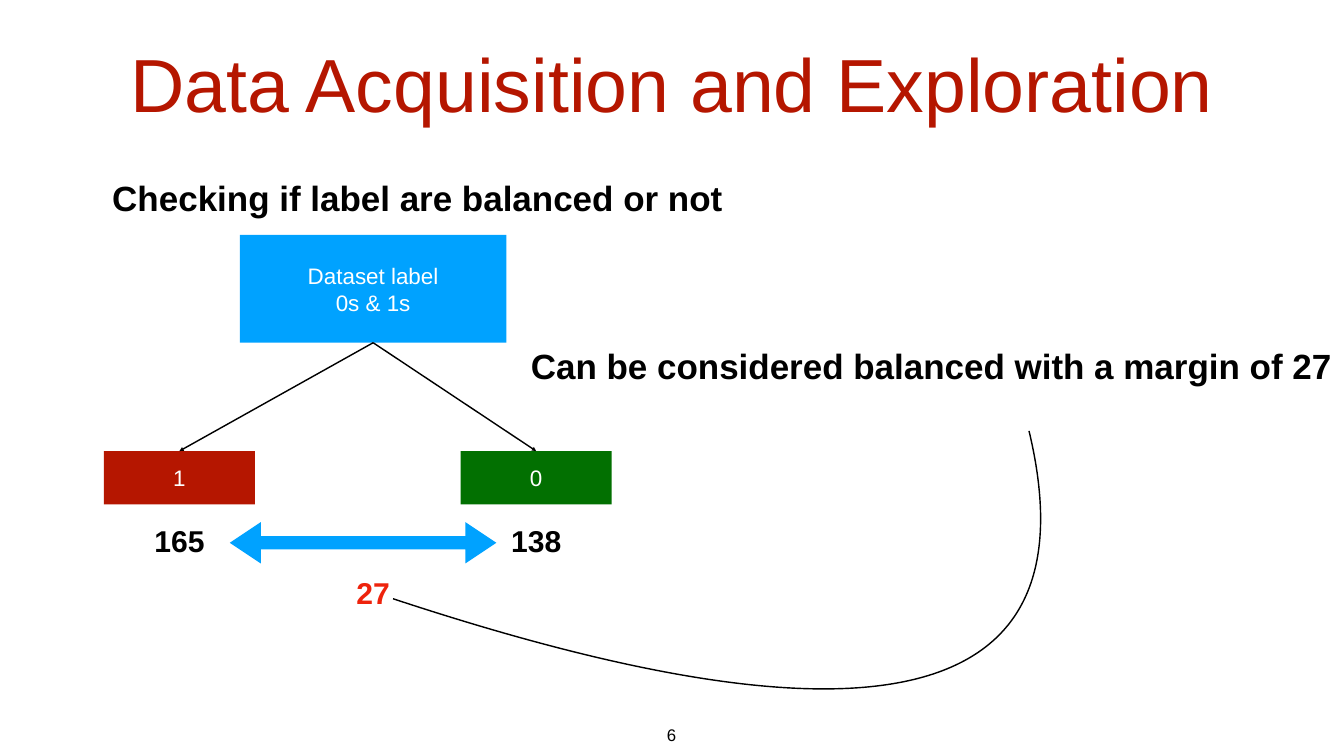
from dataclasses import dataclass

from lxml.etree import SubElement
from pptx import Presentation
from pptx.dml.color import RGBColor
from pptx.enum.shapes import MSO_CONNECTOR, MSO_SHAPE
from pptx.enum.text import MSO_ANCHOR, PP_ALIGN
from pptx.oxml.ns import qn
from pptx.util import Inches, Pt


@dataclass(frozen=True)
class Theme:
    font: str = "Arial"
    black: str = "000000"
    white: str = "FFFFFF"
    blue: str = "00A2FF"
    red: str = "B51600"
    green: str = "027001"
    accent: str = "EE230C"
    title: float = 107.5
    heading: float = 50
    count: float = 43
    label: float = 32
    number: float = 24
    line: float = 2


THEME = Theme()


def rgb(value):
    return RGBColor.from_string(value)


def write(sp, text, size, color, bold=False, inset=0.06, wrap=False, anchor=MSO_ANCHOR.MIDDLE):
    tf = sp.text_frame
    tf.text = text
    tf.word_wrap = wrap
    tf.vertical_anchor = anchor
    tf.margin_left = tf.margin_right = tf.margin_top = tf.margin_bottom = Inches(inset)
    for p in tf.paragraphs:
        p.alignment = PP_ALIGN.CENTER
        for r in p.runs:
            r.font.name = THEME.font
            r.font.size = Pt(size)
            r.font.bold = bold
            r.font.color.rgb = rgb(color)


def add_text(s, box, text, size, color=THEME.black, **style):
    write(s.shapes.add_textbox(*map(Inches, box)), text, size, color, **style)


def add_filled(s, preset, box, fill):
    sp = s.shapes.add_shape(preset, *map(Inches, box))
    sp.shadow.inherit = False
    sp.fill.solid()
    sp.fill.fore_color.rgb = rgb(fill)
    sp.line.fill.background()
    return sp


def add_node(s, box, text, fill):
    sp = add_filled(s, MSO_SHAPE.RECTANGLE, box, fill)
    write(sp, text, THEME.label, THEME.white, inset=0, wrap=True)
    return sp


def add_branch(s, parent, child):
    """Arrow from the bottom of parent to the top of child."""
    line = s.shapes.add_connector(MSO_CONNECTOR.STRAIGHT, 0, 0, 0, 0)
    line.begin_connect(parent, 2)
    line.end_connect(child, 0)
    line.line.color.rgb = rgb(THEME.black)
    line.line.width = Pt(THEME.line)
    SubElement(line.line._get_or_add_ln(), qn("a:tailEnd"), type="triangle")
    SubElement(line._element.spPr, qn("a:effectLst"))


def add_curve(s, start, control1, control2, end, corner):
    """Cubic curve from start to end; corner is the far corner of its bounds."""
    builder = s.shapes.build_freeform(*map(Inches, start), scale=1.0)
    builder.add_line_segments([tuple(map(Inches, pt)) for pt in (corner, end)], close=False)
    sp = builder.convert_to_shape()
    outline = next(sp._element.iter(qn("a:path")))
    for segment in outline.findall(qn("a:lnTo")):
        outline.remove(segment)
    bezier = SubElement(outline, qn("a:cubicBezTo"))
    for x, y in (control1, control2, end):
        SubElement(bezier, qn("a:pt"), x=str(Inches(x) - sp.left), y=str(Inches(y) - sp.top))
    sp.shadow.inherit = False
    sp.fill.background()
    sp.line.color.rgb = rgb(THEME.black)
    sp.line.width = Pt(THEME.line)


def add_label_tree(s, left, top):
    """Dataset box with one branch and one count for each label."""
    root = add_node(s, (left + 2.7, top, 5.29, 2.14), "Dataset label\n0s & 1s", THEME.blue)
    classes = (("1", "165", THEME.red), ("0", "138", THEME.green))
    for i, (label, count, fill) in enumerate(classes):
        x = left + i * 7.08
        child = add_node(s, (x, top + 4.29, 3, 1.06), label, fill)
        add_branch(s, root, child)
        add_text(s, (x + 0.94, top + 5.66, 1.12, 0.82), count, THEME.count, bold=True)
    arrow = add_filled(s, MSO_SHAPE.LEFT_RIGHT_ARROW, (left + 2.5, top + 5.7, 5.29, 0.82), THEME.blue)
    arrow.adjustments[0] = 0.32
    arrow.adjustments[1] = 0.75
    add_text(s, (left + 4.95, top + 6.69, 0.79, 0.82), "27", THEME.count, THEME.accent, bold=True)


def add_conclusion(s, left, top):
    """Finding, with a curve leading to it from the difference."""
    add_text(s, (left, top, 16.06, 0.94), "Can be considered balanced with a margin of 27",
             THEME.heading, bold=True)
    points = ((-2.66, 5.09), (7.05, 8.3), (11.26, 7.19), (9.96, 1.76), (10.19, 6.88))
    add_curve(s, *((left + x, top + y) for x, y in points))


def main():
    prs = Presentation()
    prs.slide_width, prs.slide_height = Inches(26.67), Inches(15)
    s = prs.slides.add_slide(prs.slide_layouts[6])
    add_text(s, (1.85, 0.39, 22.97, 2.5), "Data Acquisition and Exploration",
             THEME.title, THEME.red, wrap=True)
    add_text(s, (2.15, 3.44, 12.28, 0.94), "Checking if label are balanced or not",
             THEME.heading, bold=True)
    add_label_tree(s, 2.06, 4.66)
    add_conclusion(s, 10.46, 6.79)
    add_text(s, (13.17, 14.31, 0.31, 0.5), "6", THEME.number, anchor=MSO_ANCHOR.TOP)
    prs.save("out.pptx")


if __name__ == "__main__":
    main()
